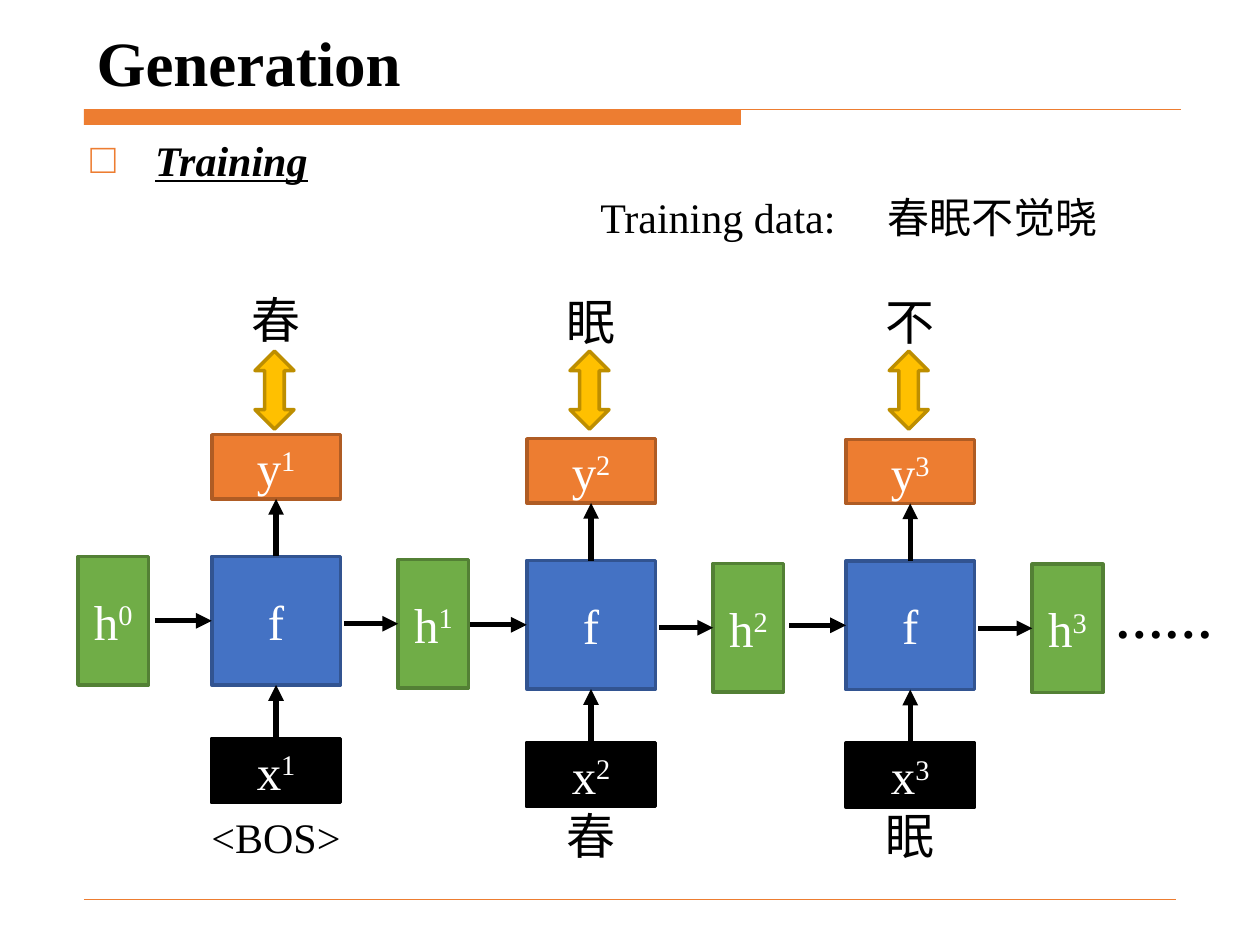
from lxml.etree import SubElement
from pptx import Presentation
from pptx.dml.color import RGBColor
from pptx.enum.shapes import MSO_CONNECTOR, MSO_SHAPE
from pptx.enum.text import MSO_ANCHOR, MSO_AUTO_SIZE, PP_ALIGN
from pptx.oxml.ns import qn
from pptx.util import Pt

BLACK = RGBColor(0x00, 0x00, 0x00)
WHITE = RGBColor(0xFF, 0xFF, 0xFF)
ORANGE = RGBColor(0xED, 0x7D, 0x31)
DARK_ORANGE = RGBColor(0xAF, 0x5C, 0x24)
BLUE = RGBColor(0x44, 0x72, 0xC4)
DARK_BLUE = RGBColor(0x32, 0x54, 0x91)
GREEN = RGBColor(0x70, 0xAD, 0x47)
DARK_GREEN = RGBColor(0x53, 0x80, 0x35)
GOLD = RGBColor(0xFF, 0xC0, 0x00)
DARK_GOLD = RGBColor(0xBD, 0x8E, 0x00)

TOP, LEFT, BOTTOM = 0, 1, 2
SIDE = 73.5           # side of an f square
STATE_WIDTH = 40.3    # width of an h block
IO_HEIGHT = 36.7      # height of an x or y block
F_TOP = 318


class Deck:
    font = "Times New Roman"

    def __init__(self):
        self.prs = Presentation()
        self.prs.slide_width, self.prs.slide_height = Pt(720), Pt(540)
        self.slide = self.prs.slides.add_slide(self.prs.slide_layouts[5])

    def run(self, paragraph, text, size, color=BLACK, bold=False, italic=False,
            underline=False, raised=False):
        run = paragraph.add_run()
        run.text = text
        font = run.font
        font.name, font.size, font.color.rgb = self.font, Pt(size), color
        font.bold, font.italic, font.underline = bold, italic, underline
        if raised:
            run._r.get_or_add_rPr().set("baseline", "30000")

    def title(self, text, left, top, width, height):
        title = self.slide.shapes.title
        title.left, title.top = Pt(left), Pt(top)
        title.width, title.height = Pt(width), Pt(height)
        frame = title.text_frame
        frame.auto_size = MSO_AUTO_SIZE.NONE
        frame.vertical_anchor = MSO_ANCHOR.BOTTOM
        frame.paragraphs[0].alignment = PP_ALIGN.LEFT
        self.run(frame.paragraphs[0], text, 36, bold=True)

    def paragraph(self, left, top, width, height, align=PP_ALIGN.LEFT):
        """Add a text box and return its first paragraph."""
        box = self.slide.shapes.add_textbox(Pt(left), Pt(top), Pt(width), Pt(height))
        box.text_frame.word_wrap = True
        first = box.text_frame.paragraphs[0]
        first.alignment = align
        return first

    def caption(self, text, center, top, size=28):
        width = 100
        line = self.paragraph(center - width / 2, top, width, 40, PP_ALIGN.CENTER)
        self.run(line, text, size)

    def bullet(self, text, left, top, width, height):
        item = self.paragraph(left, top, width, height)
        props = item._p.get_or_add_pPr()
        props.set("marL", str(Pt(37)))
        props.set("indent", str(-Pt(37)))
        color = SubElement(props, qn("a:buClr"))
        SubElement(color, qn("a:srgbClr"), val=str(ORANGE))
        SubElement(props, qn("a:buFont"), typeface=self.font)
        SubElement(props, qn("a:buChar"), char="□")
        self.run(item, text, 24, bold=True, italic=True, underline=True)

    def shape(self, kind, left, top, width, height, fill, edge=None):
        shape = self.slide.shapes.add_shape(
            kind, Pt(left), Pt(top), Pt(width), Pt(height))
        shape.shadow.inherit = False
        shape.fill.solid()
        shape.fill.fore_color.rgb = fill
        if edge is None:
            shape.line.fill.background()
        else:
            shape.line.color.rgb, shape.line.width = edge, Pt(2)
        return shape

    def block(self, name, index, left, top, width, height, fill, edge):
        block = self.shape(MSO_SHAPE.RECTANGLE, left, top, width, height, fill, edge)
        frame = block.text_frame
        frame.vertical_anchor = MSO_ANCHOR.MIDDLE
        label = frame.paragraphs[0]
        label.alignment = PP_ALIGN.CENTER
        self.run(label, name, 28, WHITE)
        if index:
            self.run(label, index, 28, WHITE, raised=True)
        return block

    def line(self, x1, y1, x2, y2, color, width):
        line = self.slide.shapes.add_connector(
            MSO_CONNECTOR.STRAIGHT, Pt(x1), Pt(y1), Pt(x2), Pt(y2))
        line.line.color.rgb, line.line.width = color, Pt(width)
        SubElement(line._element.spPr, qn("a:effectLst"))
        return line

    def arrow(self, x1, y1, x2, y2):
        arrow = self.line(x1, y1, x2, y2, BLACK, 3)
        SubElement(arrow.line._get_or_add_ln(), qn("a:tailEnd"), type="triangle")
        return arrow

    def rise(self, lower, upper):
        """Join the top of one block to the bottom of the block above."""
        arrow = self.arrow(0, 0, 0, 0)
        arrow.begin_connect(lower, TOP)
        arrow.end_connect(upper, BOTTOM)

    def state(self, index, left, top):
        return self.block("h", index, left, top, STATE_WIDTH, SIDE, GREEN, DARK_GREEN)

    def step(self, index, left, drop, target, given, given_size):
        """Draw one time step, lowered by drop."""
        f_top = F_TOP + drop
        center, middle = left + SIDE / 2, f_top + SIDE / 2
        cell = self.block("f", "", left, f_top, SIDE, SIDE, BLUE, DARK_BLUE)
        state = self.state(index, left + 106.5, f_top + 1.7)
        output = self.block("y", index, left, 248.4 + drop, SIDE, IO_HEIGHT,
                            ORANGE, DARK_ORANGE)
        source = self.block("x", index, left, 422 + drop, SIDE, IO_HEIGHT, BLACK, BLACK)

        self.arrow(left - 32.5, middle, left, middle).end_connect(cell, LEFT)
        self.arrow(left + 75.5, middle + 1.7, left + 106.5, middle + 1.7).end_connect(
            state, LEFT)
        self.rise(cell, output)
        self.rise(source, cell)

        self.caption(target, center, 162 + drop / 2)
        self.caption(given, center, 456.5 if given_size == 28 else 460, given_size)
        self.shape(MSO_SHAPE.UP_DOWN_ARROW, left + 24.7, 200.6, 22.3, 44.6,
                   GOLD, DARK_GOLD)


def main():
    deck = Deck()
    deck.shape(MSO_SHAPE.RECTANGLE, 48, 62.6, 375.4, 8.8, ORANGE)
    deck.line(48, 62.6, 674.6, 62.6, ORANGE, 0.75)
    deck.line(48, 514, 672, 514, ORANGE, 0.25)
    deck.title("Generation", 48, 15, 629, 45.4)
    deck.bullet("Training", 44.6, 73.4, 300, 36)

    corpus = deck.paragraph(336, 106, 366, 36)
    tabs = SubElement(corpus._p.get_or_add_pPr(), qn("a:tabLst"))
    SubElement(tabs, qn("a:tab"), pos=str(Pt(164)), algn="l")
    deck.run(corpus, "Training data:\t春眠不觉晓", 24)

    deck.state("0", 44.6, F_TOP)
    steps = [
        ("1", 121, 0, "春", "<BOS>", 24),
        ("2", 301, 2.3, "眠", "春", 28),
        ("3", 483.4, 2.6, "不", "眠", 28),
    ]
    for step in steps:
        deck.step(*step)
    deck.run(deck.paragraph(630, 333.4, 73.4, 41), "……", 28, bold=True)

    deck.prs.save("out.pptx")


if __name__ == "__main__":
    main()
